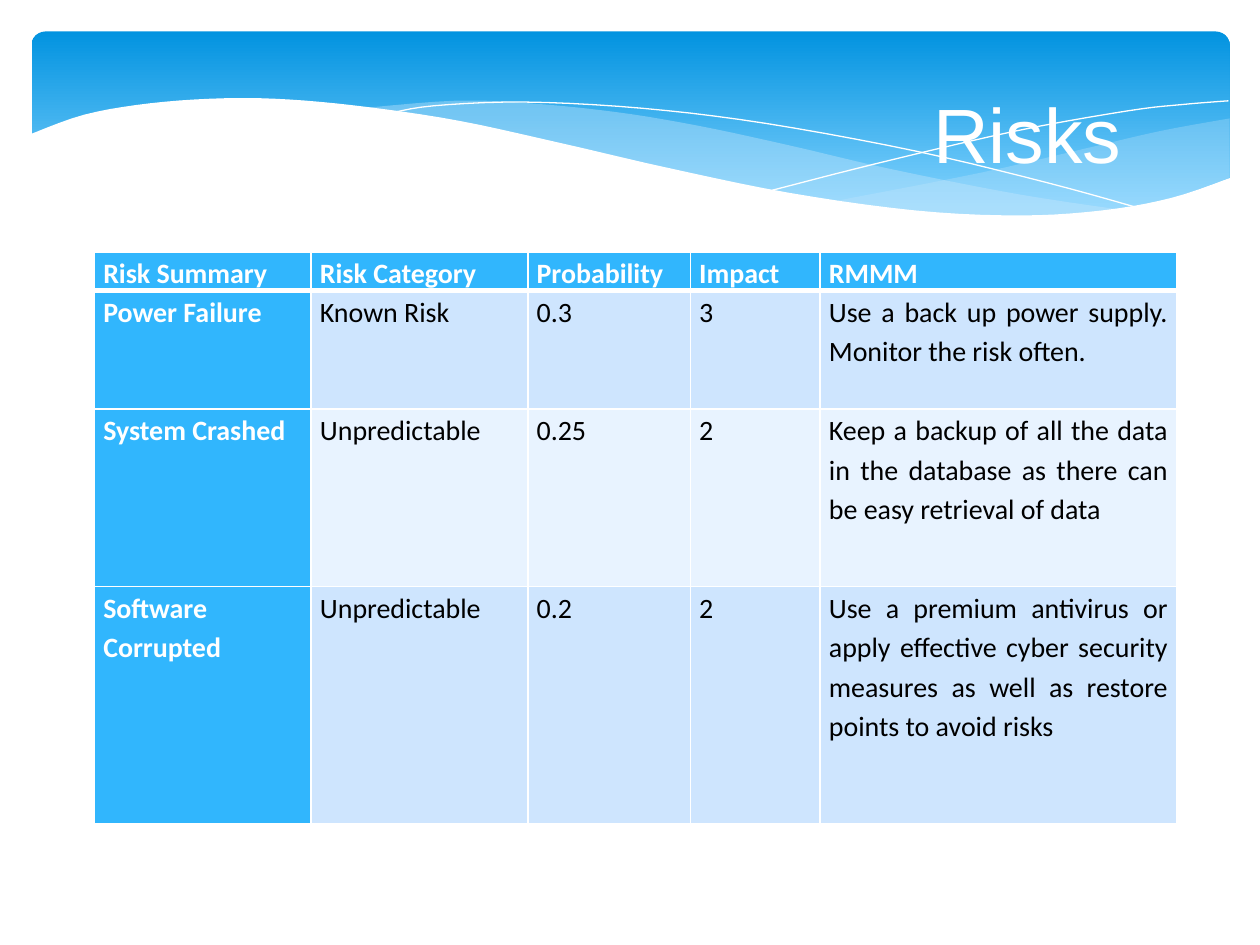
from lxml.etree import SubElement as Sub
from pptx import Presentation
from pptx.dml.color import RGBColor
from pptx.enum.shapes import MSO_SHAPE as Kind
from pptx.enum.text import MSO_ANCHOR as Anchor, PP_ALIGN as Align
from pptx.oxml import parse_xml
from pptx.oxml.ns import nsdecls, qn
from pptx.util import Inches, Pt

WIDE, HIGH = 10, 7.5
WHITE, BLACK, BLUE, MIST = "FFFFFF", "000000", "31B6FD", "C6E7FC"
BANDS = ["CEE5FE", "E8F3FF"]

ROWS = [
    ("Risk Summary", "Risk Category", "Probability", "Impact", "RMMM"),
    ("Power Failure", "Known Risk", "0.3", "3",
     "Use a back up power supply. Monitor the risk often."),
    ("System Crashed", "Unpredictable", "0.25", "2",
     "Keep a backup of all the data in the database as there can be easy retrieval of data"),
    ("Software Corrupted", "Unpredictable", "0.2", "2",
     "Use a premium antivirus or apply effective cyber security measures "
     "as well as restore points to avoid risks"),
]
COLS = [1.72, 1.72, 1.29, 1.03, 2.83]
TALL = [0.26, 0.94, 1.41, 1.88]

FILLS = [
    (MIST, 29, [
        [(9.76, 0.94), (9.21, 1.04), (8.61, 1.18), (7.79, 1.37), (6.61, 1.6)],
        [(6.61, 1.6), (7.19, 1.67), (7.81, 1.72), (8.35, 1.72), (8.81, 1.67),
         (9.28, 1.58), (9.76, 1.41)]]),
    (MIST, 40, [
        [(8.93, 1.67), (8.07, 1.54), (7.06, 1.34), (6.29, 1.16), (5.55, 1),
         (4.89, 0.89), (4.2, 0.82), (3.61, 0.8), (2.86, 0.86)],
        [(2.86, 0.86), (3.62, 0.97), (4.49, 1.16), (5.66, 1.43), (6.5, 1.58),
         (7.22, 1.68), (7.85, 1.72), (8.38, 1.72), (8.93, 1.67)]]),
]
LINES = [
    [(3.09, 0.9), (3.44, 0.84), (4.16, 0.81), (5.1, 0.86), (6.08, 0.98),
     (7.27, 1.2), (8.31, 1.45), (9.07, 1.66)],
    [(6.13, 1.51), (6.95, 1.3), (8.06, 1.04), (8.95, 0.88), (9.38, 0.83), (9.75, 0.8)],
]
WAVE = (WHITE, 100, [
    [(9.77, 1.41), (9.3, 1.57), (8.75, 1.67), (8.09, 1.71), (7.26, 1.67),
     (6.26, 1.53), (5.29, 1.33), (4.47, 1.14), (3.65, 0.96), (2.92, 0.85),
     (2.3, 0.79), (1.77, 0.78), (1.19, 0.82), (0.67, 0.91), (0.23, 1.07)],
    [(0.23, 2.24), (9.77, 2.24)]])


def rgb(tone):
    return RGBColor.from_string(tone)


def write(frame, text, size=16, font="Calibri", tone=BLACK, bold=False,
          align=Align.JUSTIFY, space=1.15):
    par = frame.paragraphs[0]
    par.alignment, par.line_spacing = align, space
    run = par.add_run()
    run.text = text
    face = run.font
    face.size, face.name, face.bold = Pt(size), font, bold
    face.color.rgb = rgb(tone)


def smooth(knots, steps=5):
    if len(knots) < 3:
        return knots
    ends = [knots[0], *knots, knots[-1]]
    out = [knots[0]]
    for a, b, c, d in zip(ends, ends[1:], ends[2:], ends[3:]):
        for t in (n / steps for n in range(1, steps + 1)):
            out.append(tuple(
                q + t / 2 * (r - p + t * (2 * p - 5 * q + 4 * r - s
                                          + t * (3 * (q - r) + s - p)))
                for p, q, r, s in zip(a, b, c, d)))
    return out


def trace(slide, curves, close):
    dots = [(Inches(x), Inches(y)) for knots in curves for x, y in smooth(knots)]
    pen = slide.shapes.build_freeform(*dots[0])
    pen.add_line_segments(dots[1:], close=close)
    form = pen.convert_to_shape()
    form.shadow.inherit = False
    return form


def area(slide, tone, alpha, curves):
    form = trace(slide, curves, True)
    form.line.fill.background()
    form.fill.solid()
    form.fill.fore_color.rgb = rgb(tone)
    if alpha < 100:
        hue = form.fill._xPr.find(".//" + qn("a:srgbClr"))
        Sub(hue, qn("a:alpha"), val=str(alpha * 1000))


def stroke(slide, knots):
    form = trace(slide, [knots], False)
    form.fill.background()
    form.line.color.rgb = rgb(WHITE)
    form.line.width = Pt(0)


def banner(slide):
    edge = WIDE / 40
    box = slide.shapes.add_shape(Kind.ROUNDED_RECTANGLE, Inches(edge), Inches(edge),
                                 Inches(WIDE - 2 * edge + 0.01), Inches(1.56))
    box.adjustments[0] = 0.071
    box.shadow.inherit = False
    box.line.fill.background()
    box.fill.gradient()
    box.fill.gradient_angle = 270
    for stop, tone, at in zip(box.fill.gradient_stops, ("0293E0", "83D3FE"), (0, 0.9)):
        stop.color.rgb, stop.position = rgb(tone), at


def rule(cell, row):
    props = cell._tc.get_or_add_tcPr()
    wide = {"L": 1, "R": 1, "T": 3 if row == 1 else 1, "B": 3 if row == 0 else 1}
    for n, (side, size) in enumerate(wide.items()):
        props.insert(n, parse_xml(
            f'<a:ln{side} {nsdecls("a")} w="{Pt(size)}"><a:solidFill>'
            f'<a:srgbClr val="{WHITE}"/></a:solidFill></a:ln{side}>'))


def grid(slide):
    table = slide.shapes.add_table(len(ROWS), len(COLS), Inches(0.75), Inches(2),
                                   Inches(sum(COLS)), Inches(sum(TALL))).table
    for col, size in zip(table.columns, COLS):
        col.width = Inches(size)
    for i, (row, size) in enumerate(zip(ROWS, TALL)):
        table.rows[i].height = Inches(size)
        for j, text in enumerate(row):
            cell = table.cell(i, j)
            head = i == 0 or j == 0
            cell.margin_left = cell.margin_right = Inches(0.07)
            cell.margin_top = cell.margin_bottom = 0
            cell.fill.solid()
            cell.fill.fore_color.rgb = rgb(BLUE if head else BANDS[(i - 1) % 2])
            write(cell.text_frame, text, tone=WHITE if head else BLACK, bold=head)
            rule(cell, i)


def title(slide):
    box = slide.shapes.add_textbox(Inches(7.08), Inches(0.61), Inches(1.92), Inches(0.89))
    frame = box.text_frame
    frame.word_wrap, frame.vertical_anchor = True, Anchor.MIDDLE
    write(frame, "Risks", size=44, font="Arial", tone=WHITE, align=Align.RIGHT, space=1)


def main():
    deck = Presentation()
    deck.slide_width, deck.slide_height = Inches(WIDE), Inches(HIGH)
    slide = deck.slides.add_slide(deck.slide_layouts[6])
    banner(slide)
    for item in FILLS:
        area(slide, *item)
    for knots in LINES:
        stroke(slide, knots)
    area(slide, *WAVE)
    title(slide)
    grid(slide)
    deck.save("out.pptx")


if __name__ == "__main__":
    main()
